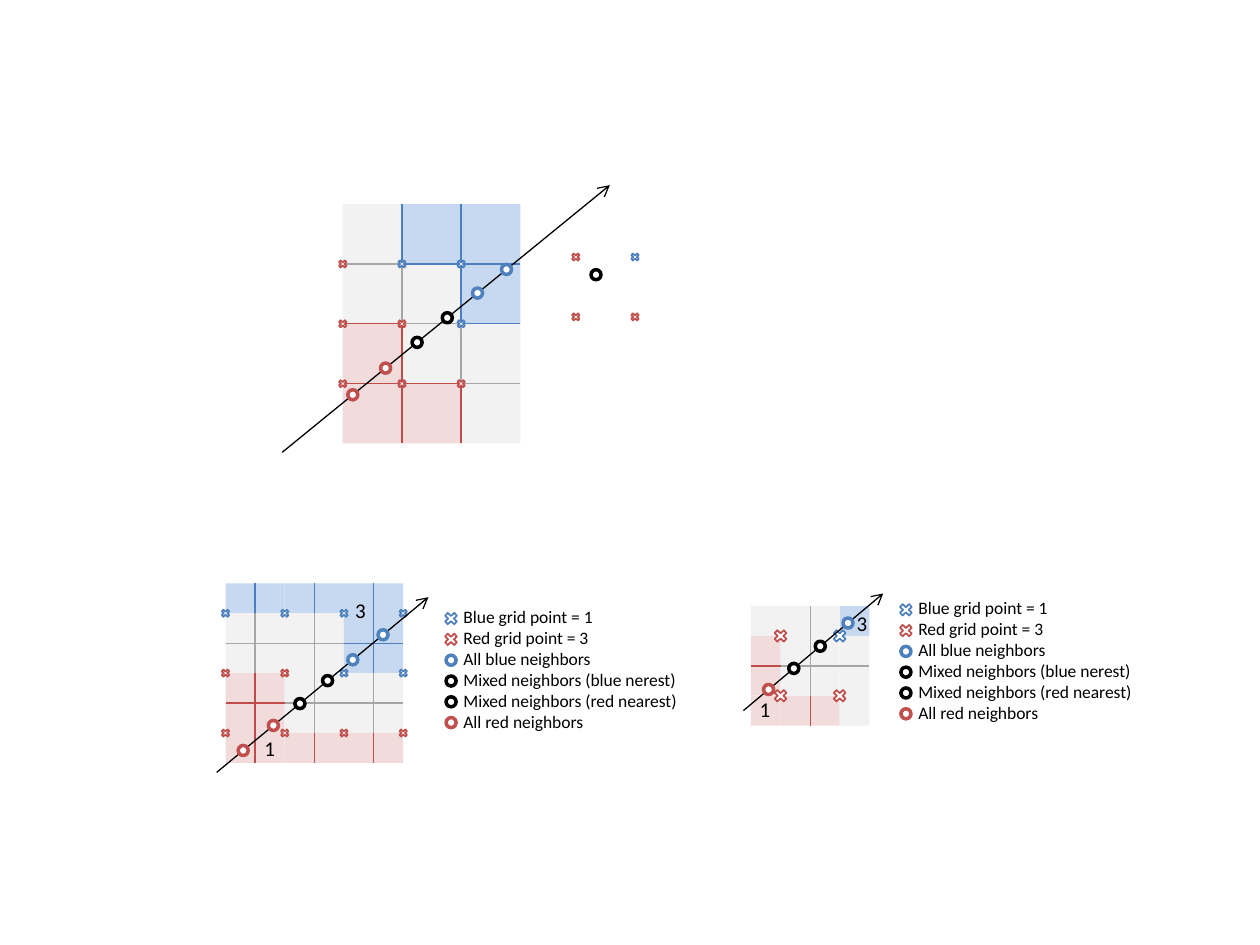
from dataclasses import dataclass

from lxml import etree
from pptx import Presentation
from pptx import util as u
from pptx.dml.color import RGBColor
from pptx.enum import shapes as kinds, text
from pptx.oxml import ns


@dataclass(frozen=True)
class Theme:
    font: str = "Calibri"
    label_size: int = 12
    legend_size: int = 10
    thin: float = 0.75
    cross_line: float = 1
    dot_line: float = 2
    dot: float = 0.08
    black: str = "000000"
    white: str = "FFFFFF"


THEME = Theme()
CELL_FILL = {"B": "C6D9F1", "R": "F2DCDB", "G": "F2F2F2"}
GRID_LINE = {"B": "4B7EBC", "R": "BF4C48", "G": "A6A6A6"}
MARKER = {"B": "4F81BD", "R": "C0504D", "K": THEME.black}
CELL_WIDTH, CELL_HEIGHT = 0.47, 0.475
SMALL_CROSS, LARGE_CROSS = (0.09, 0.08), (0.14, 0.13)
LEGEND = [
    ("cross", "B", "Blue grid point = 1"),
    ("cross", "R", "Red grid point = 3"),
    ("dot", "B", "All blue neighbors"),
    ("dot", "K", "Mixed neighbors (blue nerest)"),
    ("dot", "K", "Mixed neighbors (red nearest)"),
    ("dot", "R", "All red neighbors"),
]


# Basic parts
def add_filled(shapes, kind, left, top, width, height, fill, line=None, weight=0):
    shape = shapes.add_shape(kind, *map(u.Inches, (left, top, width, height)))
    shape.shadow.inherit = False
    shape.fill.solid()
    shape.fill.fore_color.rgb = RGBColor.from_string(fill)
    if line:
        shape.line.color.rgb = RGBColor.from_string(line)
        shape.line.width = u.Pt(weight)
    else:
        shape.line.fill.background()


def add_cross(shapes, x, y, color, size=SMALL_CROSS):
    width, height = size
    add_filled(shapes, kinds.MSO_SHAPE.MATH_MULTIPLY, x - width / 2, y - height / 2,
               width, height, THEME.white, MARKER[color], THEME.cross_line)


def add_dot(shapes, x, y, color):
    size = THEME.dot
    add_filled(shapes, kinds.MSO_SHAPE.OVAL, x - size / 2, y - size / 2,
               size, size, THEME.white, MARKER[color], THEME.dot_line)


def add_line(shapes, start, end, color, arrow=False):
    connector = shapes.add_connector(
        kinds.MSO_CONNECTOR.STRAIGHT, *map(u.Inches, (*start, *end)))
    connector.line.color.rgb = RGBColor.from_string(color)
    connector.line.width = u.Pt(THEME.thin)
    if arrow:
        etree.SubElement(connector.line._get_or_add_ln(), ns.qn("a:tailEnd"), type="arrow")
    etree.SubElement(connector._element.spPr, ns.qn("a:effectLst"))


def add_text(shapes, left, top, width, height, lines, size):
    box = shapes.add_textbox(*map(u.Inches, (left, top, width, height)))
    frame = box.text_frame
    frame.word_wrap = False
    frame.auto_size = text.MSO_AUTO_SIZE.SHAPE_TO_FIT_TEXT
    for index, line in enumerate(lines):
        paragraph = frame.paragraphs[0] if index == 0 else frame.add_paragraph()
        run = paragraph.add_run()
        run.text = line
        run.font.name = THEME.font
        run.font.size = u.Pt(size)
        run.font.color.rgb = RGBColor.from_string(THEME.black)


# Grid of colored cells with sample points along a ray
def draw_grid(shapes, left, top, columns, rows, cells, lines, cross_columns, cross_rows,
              crosses, ray, dots, labels=(), cross_size=SMALL_CROSS):
    def place(column, row):
        return left + column * CELL_WIDTH, top + row * CELL_HEIGHT

    # Cells, one letter each
    for row, letters in enumerate(cells):
        for column, letter in enumerate(letters):
            x, y = place(columns[column], rows[row])
            right, bottom = place(columns[column + 1], rows[row + 1])
            add_filled(shapes, kinds.MSO_SHAPE.RECTANGLE, x, y, right - x, bottom - y,
                       CELL_FILL[letter])
    # Grid lines, in cell units
    for color, segments in lines.items():
        for x1, y1, x2, y2 in segments:
            add_line(shapes, place(x1, y1), place(x2, y2), GRID_LINE[color])
    # Grid points
    for row, letters in zip(cross_rows, crosses):
        for column, letter in zip(cross_columns, letters):
            add_cross(shapes, *place(column, row), letter, cross_size)
    # Labels
    for label, x, y in labels:
        add_text(shapes, left + x, top + y, 0.29, 0.3, [label], THEME.label_size)
    # Ray and the samples on it
    x1, y1, x2, y2 = ray
    add_line(shapes, (left + x1, top + y1), (left + x2, top + y2), THEME.black, arrow=True)
    for color, x in dots:
        y = y1 + (x - x1) * (y2 - y1) / (x2 - x1)
        add_dot(shapes, left + x, top + y, color)


# One sample among its four grid points
def draw_neighbors(shapes, left, top):
    for row, letters in enumerate(["RB", "RR"]):
        for column, letter in enumerate(letters):
            add_cross(shapes, left + column * CELL_WIDTH, top + row * CELL_HEIGHT, letter)
    add_dot(shapes, left + 0.16, top + 0.14, "K")


# Legend with markers beside the text
def draw_legend(shapes, left, top):
    group = shapes.add_group_shape().shapes
    add_text(group, left, top, 1.93, 1.11, [entry[2] for entry in LEGEND], THEME.legend_size)
    for index, (kind, color, _) in enumerate(LEGEND):
        y = top + 0.15 + index * 0.165
        if kind == "cross":
            add_cross(group, left, y, color, LARGE_CROSS)
        else:
            add_dot(group, left, y, color)


presentation = Presentation()
presentation.slide_width, presentation.slide_height = u.Inches(10), u.Inches(7.5)
slide = presentation.slides.add_slide(presentation.slide_layouts[6])

# Upper grid
draw_grid(
    slide.shapes, 2.72, 1.62, range(4), range(5), ["GBB", "GGB", "RGG", "RRG"],
    {"G": [(1, 1, 0, 1), (1, 1, 1, 2), (2, 2, 1, 2), (2, 2, 2, 3), (3, 3, 2, 3)],
     "R": [(1, 2, 1, 4), (2, 3, 2, 4), (0, 3, 2, 3), (0, 2, 1, 2)],
     "B": [(2, 0, 2, 2), (1, 0, 1, 1), (1, 1, 3, 1), (2, 2, 3, 2)]},
    range(3), (1, 2, 3), ["RBB", "RRB", "RRR"],
    (-0.48, 1.97, 2.12, -0.15),
    [("R", 0.08), ("R", 0.34), ("K", 0.59), ("K", 0.83), ("B", 1.07), ("B", 1.3)])
draw_neighbors(slide.shapes, 4.57, 2.04)

# Lower left grid
draw_grid(
    slide.shapes, 1.79, 4.63, range(4), (0, 0.5, 1.5, 2.5, 3), ["BBB", "GGB", "RGG", "RRR"],
    {"G": [(0.5, 0.5, 0.5, 1.5), (2, 1, 0, 1), (1.5, 2.5, 1.5, 0.5), (1, 2, 3, 2),
           (2.5, 1.5, 2.5, 2.5)],
     "R": [(0, 2, 1, 2), (0.5, 1.5, 0.5, 3), (1.5, 2.5, 1.5, 3), (2.5, 2.5, 2.5, 3)],
     "B": [(0.5, 0, 0.5, 0.5), (1.5, 0, 1.5, 0.5), (2.5, 0, 2.5, 1.5), (2, 1, 3, 1)]},
    range(4), (0.5, 1.5, 2.5), ["BBBB", "RRBB", "RRRR"],
    (-0.07, 1.5, 1.61, 0.11),
    [("R", 0.14), ("R", 0.38), ("K", 0.59), ("K", 0.81), ("B", 1.01), ("B", 1.25)],
    [("1", 0.21, 1.16), ("3", 0.93, 0.06)])
draw_legend(slide.shapes, 3.58, 4.76)

# Lower right grid
draw_grid(
    slide.shapes, 5.96, 4.81, (0, 0.5, 1.5, 2), (0, 0.5, 1.5, 2), ["GGB", "RGG", "RRG"],
    {"R": [(0, 1, 0.5, 1), (1, 1.5, 1, 2)], "G": [(1, 1.5, 1, 0), (0.5, 1, 2, 1)]},
    (0.5, 1.5), (0.5, 1.5), ["RB", "RR"],
    (-0.06, 0.83, 1.05, -0.1),
    [("R", 0.14), ("K", 0.34), ("K", 0.55), ("B", 0.77)],
    [("1", -0.03, 0.67), ("3", 0.74, -0.01)], LARGE_CROSS)
draw_legend(slide.shapes, 7.19, 4.69)

presentation.save("out.pptx")
